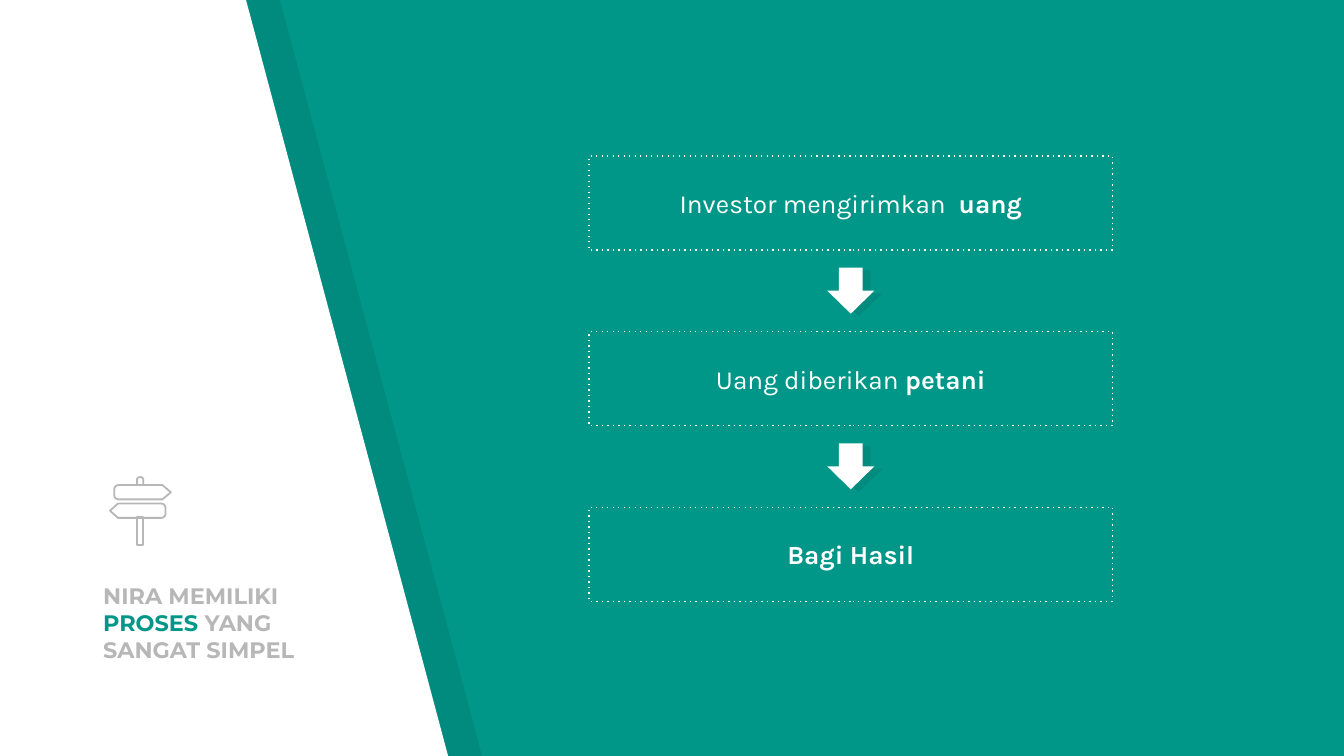
import math

import lxml.etree
import pptx
import pptx.dml.color
import pptx.enum.shapes
import pptx.enum.text
import pptx.oxml.ns
import pptx.util

Cm = pptx.util.Cm
TEAL, WHITE, GREY, BLACK = "009688", "FFFFFF", "B7B7B7", "000000"


def color(hex_string):
    return pptx.dml.color.RGBColor.from_string(hex_string)


def arc(x, y, radius, start):
    """Points of a clockwise quarter circle around (x, y), from start degrees."""
    angles = [math.radians(start + step * 22.5) for step in range(5)]
    return [(x + radius * math.cos(a), y + radius * math.sin(a)) for a in angles]


def signboard(back, shoulder, tip, top, height):
    """Outline of a board that is rounded at the back and pointed at the tip."""
    radius = 0.08
    bottom = top + height
    direction = 1 if tip > back else -1
    corner = arc(0, 0, radius, 180)
    center = back + direction * radius
    upper = [(center + direction * x, top + radius + y) for x, y in corner]
    lower = [(x, top + bottom - y) for x, y in reversed(upper)]
    return upper + [(shoulder, top), (tip, top + height / 2), (shoulder, bottom)] + lower


class SlideBuilder:
    """Holds the text style and the current slide."""

    body_font, body_size = "Karla", 14
    title_font, title_size = "Montserrat", 12

    def __init__(self, presentation):
        self.slide = presentation.slides.add_slide(presentation.slide_layouts[5])
        self.shapes = self.slide.shapes

    def background(self, fill):
        self.slide.background.fill.solid()
        self.slide.background.fill.fore_color.rgb = color(fill)

    def paint(self, shape, fill=None, line=None, width=0.75, alpha=None):
        shape.shadow.inherit = False
        if fill:
            shape.fill.solid()
            shape.fill.fore_color.rgb = color(fill)
        else:
            shape.fill.background()
        if alpha:
            fill_color = shape._element.spPr.find(pptx.oxml.ns.qn("a:solidFill"))[0]
            lxml.etree.SubElement(fill_color, pptx.oxml.ns.qn("a:alpha"), val=str(alpha * 1000))
        if line:
            shape.line.color.rgb = color(line)
            shape.line.width = pptx.util.Pt(width)
        else:
            shape.line.fill.background()

    def outline(self, points, container=None, **style):
        points = [(Cm(x), Cm(y)) for x, y in points]
        builder = (container or self.shapes).build_freeform(*points[0])
        builder.add_line_segments(points[1:], close=True)
        self.paint(builder.convert_to_shape(), **style)

    def set_text(self, shape, runs, font, size, alignment, anchor):
        """Fill a shape with one paragraph of (text, colour, bold) runs."""
        frame = shape.text_frame
        frame.word_wrap = True
        frame.auto_size = pptx.enum.text.MSO_AUTO_SIZE.NONE
        frame.vertical_anchor = anchor
        frame.margin_left = frame.margin_right = Cm(0.25)
        frame.margin_top = frame.margin_bottom = Cm(0.25)
        paragraph = frame.paragraphs[0]
        paragraph.alignment = alignment
        for text, text_color, bold in runs:
            run = paragraph.add_run()
            run.text = text
            run.font.name = font
            run.font.size = pptx.util.Pt(size)
            run.font.bold = bold
            run.font.color.rgb = color(text_color)

    def title(self, runs, left, top, width, height):
        title = self.shapes.title
        title.left, title.top = Cm(left), Cm(top)
        title.width, title.height = Cm(width), Cm(height)
        self.set_text(title, runs, self.title_font, self.title_size,
                      pptx.enum.text.PP_ALIGN.LEFT, pptx.enum.text.MSO_ANCHOR.BOTTOM)
        # Bring the title in front of the side panel
        self.shapes._spTree.append(title._element)

    def step(self, runs, left, top, width, height):
        box = self.shapes.add_shape(pptx.enum.shapes.MSO_SHAPE.RECTANGLE,
                                    Cm(left), Cm(top), Cm(width), Cm(height))
        self.paint(box, line=WHITE)
        lxml.etree.SubElement(box.line._get_or_add_ln(),
                              pptx.oxml.ns.qn("a:prstDash"), val="dot")
        self.set_text(box, [(text, WHITE, bold) for text, bold in runs],
                      self.body_font, self.body_size,
                      pptx.enum.text.PP_ALIGN.CENTER, pptx.enum.text.MSO_ANCHOR.MIDDLE)

    def arrow(self, center, top):
        """A white down arrow with a faint dark one behind it."""
        width, height = 0.89, 0.87
        group = self.shapes.add_group_shape()
        for dx, dy, fill, alpha in ((0.15, 0.05, BLACK, 7), (0, 0, WHITE, None)):
            arrow = group.shapes.add_shape(
                pptx.enum.shapes.MSO_SHAPE.DOWN_ARROW,
                Cm(center - width / 2 + dx), Cm(top + dy), Cm(width), Cm(height))
            self.paint(arrow, fill=fill, alpha=alpha)

    def signpost(self):
        left, right, radius = 2.59, 2.71, 0.05
        cap = ([(left, 9.17)] + arc(left + radius, 9.07, radius, 180)
               + arc(right - radius, 9.07, radius, 270) + [(right, 9.17)])
        post = [(left, 9.78), (left, 10.31), (right, 10.31), (right, 9.78)]
        right_board = signboard(2.16, 3.07, 3.23, 9.17, 0.27)
        left_board = signboard(3.13, 2.23, 2.08, 9.52, 0.27)
        group = self.shapes.add_group_shape()
        for points in (right_board, left_board, cap, post):
            self.outline(points, group.shapes, line=GREY, width=0.96)


def main():
    presentation = pptx.Presentation()
    presentation.slide_width, presentation.slide_height = Cm(25.4), Cm(14.29)
    builder = SlideBuilder(presentation)
    builder.background(TEAL)

    panel = [(-0.05, -0.03), (-0.05, 14.33), (8.48, 14.33), (4.65, 0)]
    builder.outline([(x + 0.64, y) for x, y in panel], fill=BLACK, alpha=7)
    builder.outline(panel, fill=WHITE)
    builder.title([("NIRA MEMILIKI ", GREY, True), ("PROSES", TEAL, True),
                   (" YANG SANGAT SIMPEL", GREY, True)], 1.7, 11.43, 4.88, 1.35)

    steps = [
        [("Investor mengirimkan  ", False), ("uang", True)],
        [("Uang diberikan ", False), ("petani", True)],
        [("Bagi Hasil", True)],
    ]
    left, first_top, width, height, pitch = 11.13, 2.95, 9.9, 1.78, 3.32
    for index, runs in enumerate(steps):
        top = first_top + index * pitch
        builder.step(runs, left, top, width, height)
        if index < len(steps) - 1:
            builder.arrow(left + width / 2, top + height + 0.33)

    builder.signpost()
    presentation.save("out.pptx")


if __name__ == "__main__":
    main()
